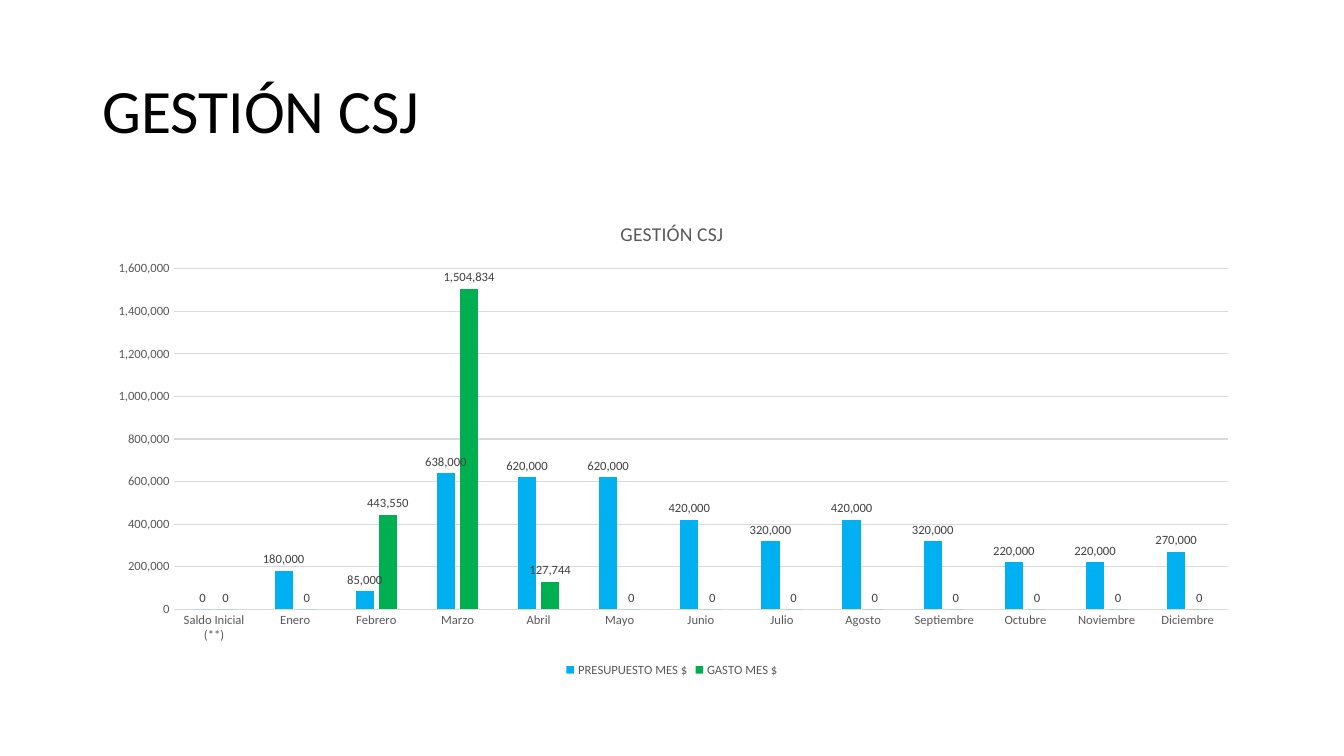
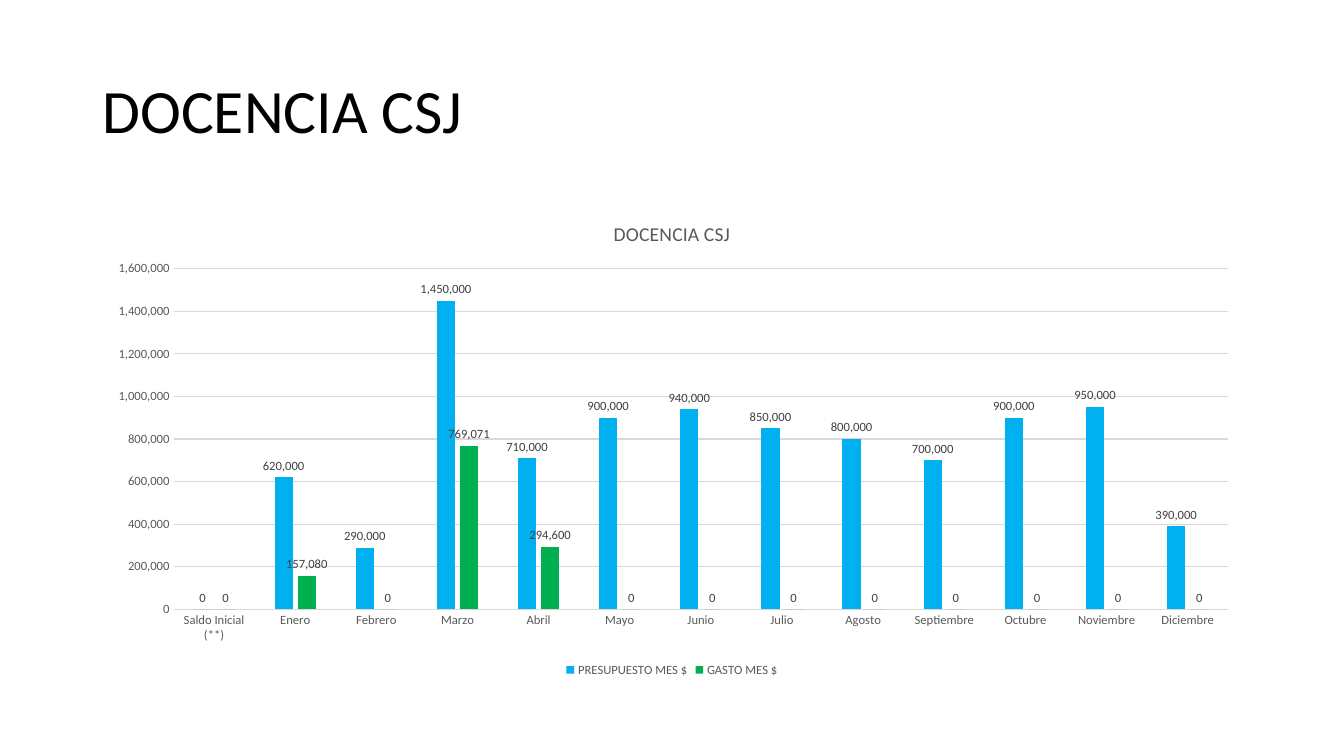
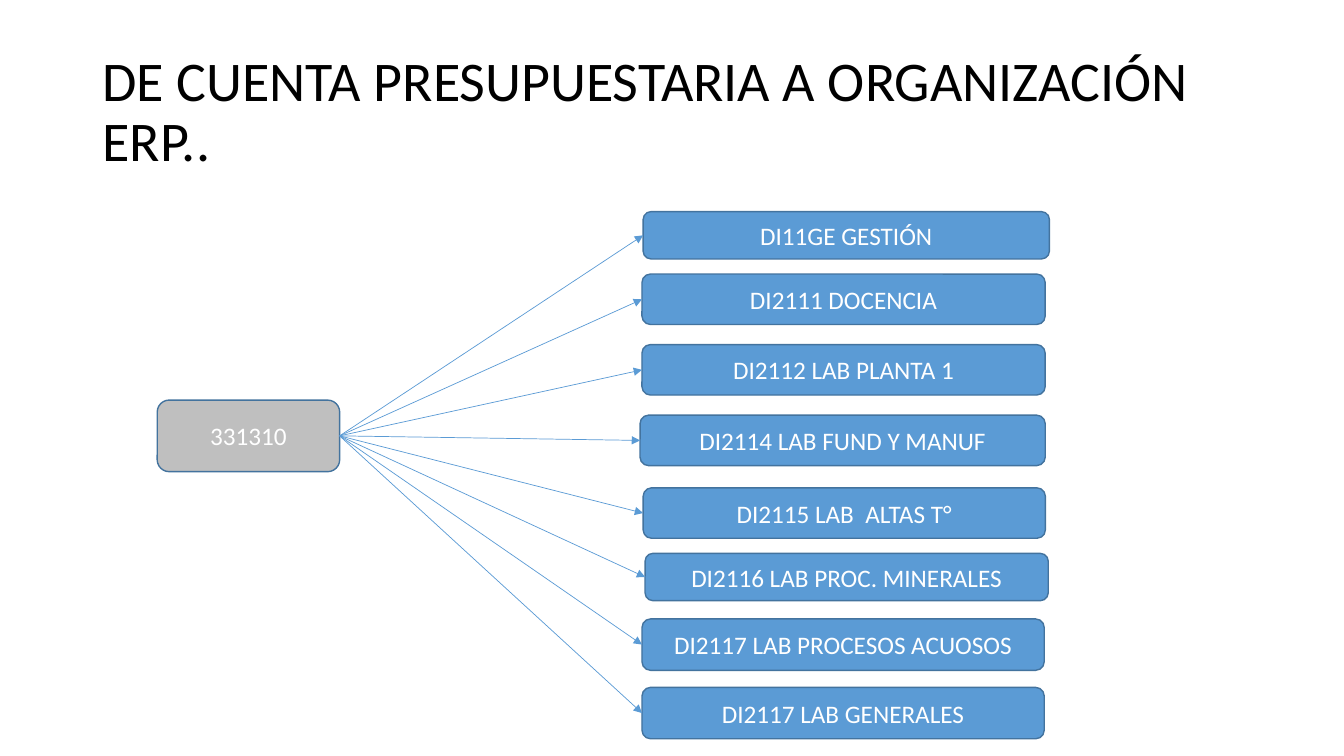
"""Build three budget slides: two monthly charts and an account-to-organisation map."""
from pptx import Presentation
from pptx.chart.data import CategoryChartData
from pptx.dml.color import RGBColor
from pptx.enum import chart as charts, shapes, text
from pptx.oxml import parse_xml
from pptx.oxml.ns import nsdecls
from pptx.util import Pt

FONT = "Calibri"
BLACK, WHITE, GRAY, DARK_GRAY = "000000", "FFFFFF", "595959", "404040"
GRID, HUB_FILL, BLUE, OUTLINE = "D9D9D9", "BFBFBF", "5B9BD5", "43739E"
NUMBERS = "##,###,###,###,##0"
LEFT, WIDTH = 66, 828


def style(font, size, colour):
    font.name, font.size, font.bold = FONT, Pt(size), False
    font.color.rgb = RGBColor.from_string(colour)


def write(frame, words, size, colour, align):
    frame.word_wrap = True
    frame.auto_size = text.MSO_AUTO_SIZE.NONE
    frame.vertical_anchor = text.MSO_ANCHOR.MIDDLE
    para = frame.paragraphs[0]
    para.alignment = align
    span = para.add_run()
    span.text = words
    style(span.font, size, colour)
    return para


deck = Presentation()
deck.slide_width, deck.slide_height = Pt(960), Pt(540)

pages = []
for heading, size in [
    ("GESTIÓN CSJ", 44),
    ("DOCENCIA CSJ", 44),
    ("DE CUENTA PRESUPUESTARIA A ORGANIZACIÓN ERP..", 40),
]:
    page = deck.slides.add_slide(deck.slide_layouts[5])
    title = page.shapes.title
    title.left, title.top = Pt(LEFT), Pt(28.8)
    title.width, title.height = Pt(WIDTH), Pt(104.4)
    write(title.text_frame, heading, size, BLACK, text.PP_ALIGN.LEFT).line_spacing = 0.9
    pages.append(page)

months = ["Saldo Inicial (**)", "Enero", "Febrero", "Marzo", "Abril", "Mayo", "Junio",
          "Julio", "Agosto", "Septiembre", "Octubre", "Noviembre", "Diciembre"]
management = (
    [0, 180000, 85000, 638000, 620000, 620000, 420000,
     320000, 420000, 320000, 220000, 220000, 270000],
    [0, 0, 443550, 1504834, 127744] + [0] * 8,
)
teaching = (
    [0, 620000, 290000, 1450000, 710000, 900000, 940000,
     850000, 800000, 700000, 900000, 950000, 390000],
    [0, 157080, 0, 769071, 294600] + [0] * 8,
)
plot_layout = {"x": 0.07, "y": 0.14, "w": 0.91, "h": 0.71}

for page, (budget, spending) in zip(pages, [management, teaching]):
    data = CategoryChartData(number_format=NUMBERS)
    data.categories = months
    data.add_series("PRESUPUESTO MES $", budget)
    data.add_series("GASTO MES $", spending)
    chart = page.shapes.add_chart(
        charts.XL_CHART_TYPE.COLUMN_CLUSTERED,
        Pt(LEFT), Pt(144), Pt(WIDTH), Pt(342.7), data).chart
    style(chart.font, 10, BLACK)

    chart.has_title = True
    span = chart.chart_title.text_frame.paragraphs[0].add_run()
    span.text = page.shapes.title.text_frame.text
    style(span.font, 14, GRAY)
    chart.has_legend = True
    chart.legend.position = charts.XL_LEGEND_POSITION.BOTTOM
    chart.legend.include_in_layout = False
    style(chart.legend.font, 9, GRAY)

    months_axis, money_axis = chart.category_axis, chart.value_axis
    for axis in (months_axis, money_axis):
        axis.major_tick_mark = axis.minor_tick_mark = charts.XL_TICK_MARK.NONE
        style(axis.tick_labels.font, 9, GRAY)
    money_axis.minimum_scale, money_axis.maximum_scale = 0, 1600000
    money_axis.major_unit = 200000
    money_axis.tick_labels.number_format = NUMBERS
    money_axis.tick_labels.number_format_is_linked = False
    money_axis.format.line.fill.background()
    for rule in (months_axis.format.line, money_axis.major_gridlines.format.line):
        rule.width = Pt(0.75)
        rule.color.rgb = RGBColor.from_string(GRID)

    plot = chart.plots[0]
    plot.gap_width, plot.overlap, plot.vary_by_categories = 219, -27, False
    for series, colour in zip(plot.series, ["00B0F0", "00B050"]):
        series.format.fill.solid()
        series.format.fill.fore_color.rgb = RGBColor.from_string(colour)
        labels = series.data_labels
        labels.show_value = True
        labels.position = charts.XL_LABEL_POSITION.OUTSIDE_END
        labels.number_format, labels.number_format_is_linked = NUMBERS, False
        style(labels.font, 9, DARK_GRAY)

    area = chart._chartSpace.chart.plotArea
    for layout in area.xpath("c:layout"):
        area.remove(layout)
    places = "".join(f'<c:{key} val="{value}"/>' for key, value in plot_layout.items())
    area.insert(0, parse_xml(
        f'<c:layout {nsdecls("c")}><c:manualLayout><c:layoutTarget val="inner"/>'
        f'<c:xMode val="edge"/><c:yMode val="edge"/>{places}</c:manualLayout></c:layout>'))

nodes = [
    ("331310", 112.3, 285.8, 130.3, 51.1),
    ("DI11GE GESTIÓN", 459.4, 151.2, 290.2, 33.8),
    ("DI2111 DOCENCIA", 458.6, 195.8, 288, 36),
    ("DI2112 LAB PLANTA 1", 458.6, 246.2, 288, 36),
    ("DI2114 LAB FUND Y MANUF", 457.2, 296.6, 289.4, 36),
    ("DI2115 LAB  ALTAS T°", 459.4, 348.5, 287.3, 36),
    ("DI2116 LAB PROC. MINERALES", 460.8, 395.3, 288, 33.8),
    ("DI2117 LAB PROCESOS ACUOSOS", 458.6, 442.1, 287.3, 36.7),
    ("DI2117 LAB GENERALES", 458.6, 491, 287.3, 36.7),
]
page = pages[2]
boxes = []
for label, left, top, width, height in nodes:
    box = page.shapes.add_shape(
        shapes.MSO_SHAPE.ROUNDED_RECTANGLE, Pt(left), Pt(top), Pt(width), Pt(height))
    box.shadow.inherit = False
    box.fill.solid()
    box.fill.fore_color.rgb = RGBColor.from_string(BLUE if boxes else HUB_FILL)
    box.line.width = Pt(1)
    box.line.color.rgb = RGBColor.from_string(OUTLINE)
    write(box.text_frame, label, 18, WHITE, text.PP_ALIGN.CENTER)
    boxes.append(box)

account, *organisations = boxes
LEFT_SITE, RIGHT_SITE = 1, 3
for organisation in organisations:
    arrow = page.shapes.add_connector(shapes.MSO_CONNECTOR.STRAIGHT, 0, 0, 0, 0)
    arrow.begin_connect(account, RIGHT_SITE)
    arrow.end_connect(organisation, LEFT_SITE)
    arrow.line.width = Pt(0.5)
    arrow.line.color.rgb = RGBColor.from_string(BLUE)
    properties = arrow._element.spPr
    properties.get_or_add_ln().append(
        parse_xml(f'<a:tailEnd {nsdecls("a")} type="triangle"/>'))
    properties.append(parse_xml(f'<a:effectLst {nsdecls("a")}/>'))

deck.save("out.pptx")
